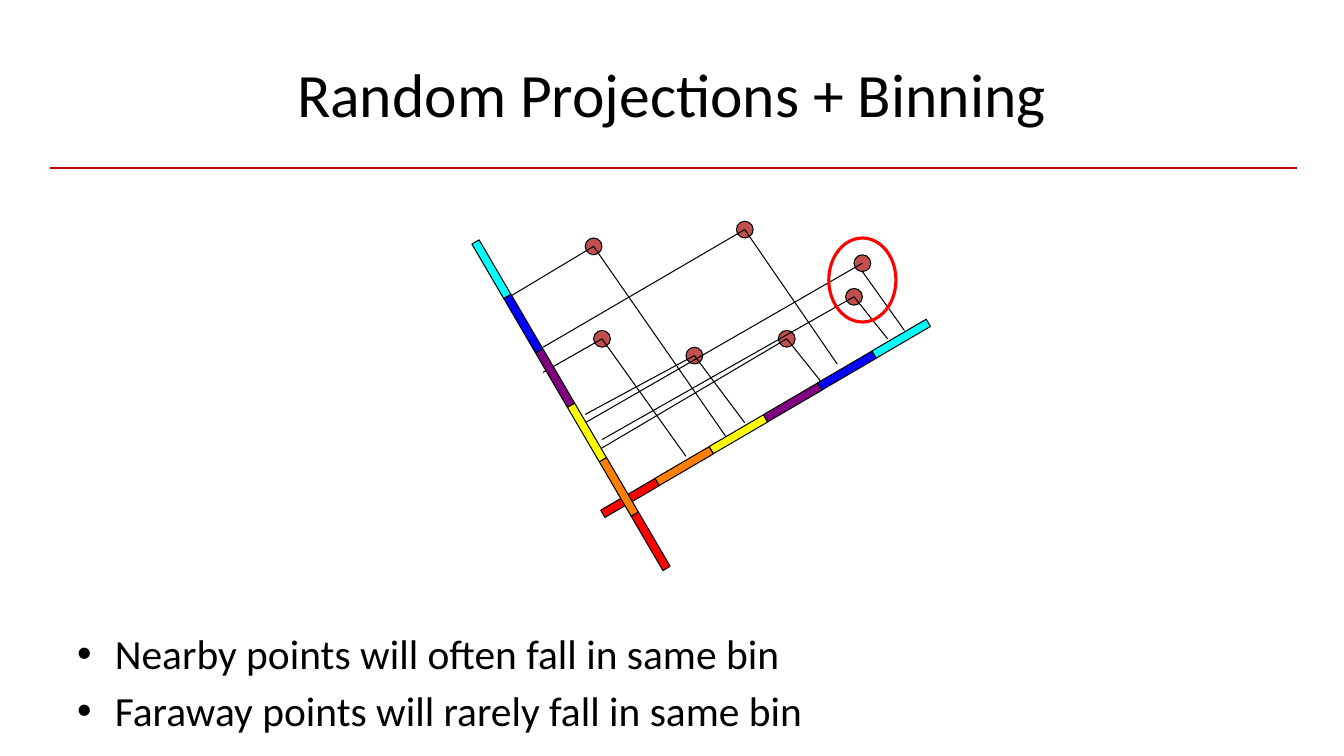
"""Build the slide on random projections and binning."""
from dataclasses import dataclass

from lxml.etree import SubElement
from pptx import Presentation
from pptx.dml.color import RGBColor
from pptx.enum.shapes import MSO_CONNECTOR as Connector, MSO_SHAPE as Preset
from pptx.enum.text import MSO_ANCHOR as Anchor, PP_ALIGN as Align
from pptx.oxml.ns import qn
from pptx.shapes.autoshape import Shape
from pptx.slide import Slide
from pptx.text.text import _Paragraph as Paragraph
from pptx.util import Pt


@dataclass(frozen=True)
class Theme:
    """Colours, font and sizes."""
    font: str = "Calibri"
    title_size: float = 44
    body_size: float = 29.6
    ink: str = "000000"
    rule: str = "C00000"
    dot: str = "C0504D"
    highlight: str = "FF0000"
    bins: tuple[str, ...] = ("FF0000", "FF8000", "FFFF00", "800080", "0000FF", "00FFFF")
    thin: float = 0.75


@dataclass(frozen=True)
class DataPoint:
    """A point and the ends of its two projections."""
    x: float
    y: float
    right_end: tuple[float, float]
    left_end: tuple[float, float]
    right_drop: float = 0


@dataclass(frozen=True)
class BinAxis:
    """A row of bins, from the centre of its first bin."""
    x: float
    y: float
    step_x: float
    step_y: float
    length: float
    rotation: float


THEME = Theme()
DOT_SIZE = 12
BIN_THICKNESS = 6
INDENT = 27
POINTS = (
    DataPoint(532, 164, (598, 260), (388, 248)),
    DataPoint(616, 188, (646, 236), (418, 302), right_drop=6),
    DataPoint(610, 212, (634, 242), (430, 314)),
    DataPoint(430, 242, (490, 326), (388, 266)),
    DataPoint(496, 254, (532, 302), (418, 296)),
    DataPoint(424, 176, (520, 314), (364, 212)),
    DataPoint(562, 242, (586, 272), (430, 320)),
)
RIGHT_AXIS = BinAxis(450, 355.7, 38.75, -22.75, 44.9, 329.7)
LEFT_AXIS = BinAxis(464.8, 386.6, -22.75, -38.87, 45, 239.7)
BULLETS = (
    "Nearby points will often fall in same bin",
    "Faraway points will rarely fall in same bin",
)


def add_line(page: Slide, start: tuple[float, float], end: tuple[float, float],
             color: str, width: float) -> None:
    """Draw a straight line."""
    line = page.shapes.add_connector(
        Connector.STRAIGHT, *(Pt(value) for value in start + end))
    line.line.color.rgb = RGBColor.from_string(color)
    line.line.width = Pt(width)
    SubElement(line._element.spPr, qn("a:effectLst"))


def add_centred(page: Slide, preset: Preset, x: float, y: float, width: float,
                height: float, fill: str | None, outline: str, weight: float) -> Shape:
    """Draw a preset shape around a centre."""
    shape = page.shapes.add_shape(
        preset, Pt(x - width / 2), Pt(y - height / 2), Pt(width), Pt(height))
    shape.shadow.inherit = False
    if fill:
        shape.fill.solid()
        shape.fill.fore_color.rgb = RGBColor.from_string(fill)
    else:
        shape.fill.background()
    shape.line.color.rgb = RGBColor.from_string(outline)
    shape.line.width = Pt(weight)
    return shape


def add_axis(page: Slide, axis: BinAxis) -> None:
    """Draw one coloured bin after another."""
    for index, color in enumerate(THEME.bins):
        segment = add_centred(
            page, Preset.RECTANGLE, axis.x + index * axis.step_x,
            axis.y + index * axis.step_y, axis.length, BIN_THICKNESS,
            color, THEME.ink, THEME.thin)
        segment.rotation = axis.rotation


def add_text_box(page: Slide, top: float, height: float, anchor: Anchor,
                 lines: tuple[str, ...], size: float) -> list[Paragraph]:
    """Write lines of text and return their paragraphs."""
    box = page.shapes.add_textbox(Pt(48), Pt(top), Pt(864), Pt(height))
    frame = box.text_frame
    frame.word_wrap = True
    frame.vertical_anchor = anchor
    frame.margin_top = frame.margin_bottom = 0
    for index, text in enumerate(lines):
        para = frame.add_paragraph() if index else frame.paragraphs[0]
        span = para.add_run()
        span.text = text
        span.font.name = THEME.font
        span.font.size = Pt(size)
        span.font.color.rgb = RGBColor.from_string(THEME.ink)
    return list(frame.paragraphs)


def add_bullet(para: Paragraph) -> None:
    """Give a paragraph a hanging bullet."""
    para.space_before = Pt(5.3)
    properties = para._p.get_or_add_pPr()
    properties.set("marL", str(Pt(INDENT)))
    properties.set("indent", str(-Pt(INDENT)))
    SubElement(properties, qn("a:buFont")).set("typeface", "Arial")
    SubElement(properties, qn("a:buChar")).set("char", "•")


def add_diagram(page: Slide) -> None:
    """Draw the points, their projections and the bins."""
    for point in POINTS:
        add_centred(page, Preset.OVAL, point.x, point.y, DOT_SIZE, DOT_SIZE,
                    THEME.dot, THEME.ink, THEME.thin)
    for point in POINTS:
        add_line(page, (point.x, point.y + point.right_drop), point.right_end,
                 THEME.ink, THEME.thin)
    add_axis(page, RIGHT_AXIS)
    for point in POINTS:
        add_line(page, (point.x, point.y), point.left_end, THEME.ink, THEME.thin)
    add_axis(page, LEFT_AXIS)
    add_centred(page, Preset.OVAL, 616, 200, 48, 60, None, THEME.highlight, 2.25)


def main() -> None:
    """Build and save the deck."""
    deck = Presentation()
    deck.slide_width, deck.slide_height = Pt(960), Pt(540)
    page = deck.slides.add_slide(deck.slide_layouts[6])
    add_line(page, (36, 120), (926.5, 120), THEME.rule, 2)
    title, = add_text_box(page, 21.6, 90, Anchor.MIDDLE,
                          ("Random Projections + Binning",), THEME.title_size)
    title.alignment = Align.CENTER
    for para in add_text_box(page, 435, 90, Anchor.BOTTOM, BULLETS, THEME.body_size):
        add_bullet(para)
    add_diagram(page)
    deck.save("out.pptx")


if __name__ == "__main__":
    main()
